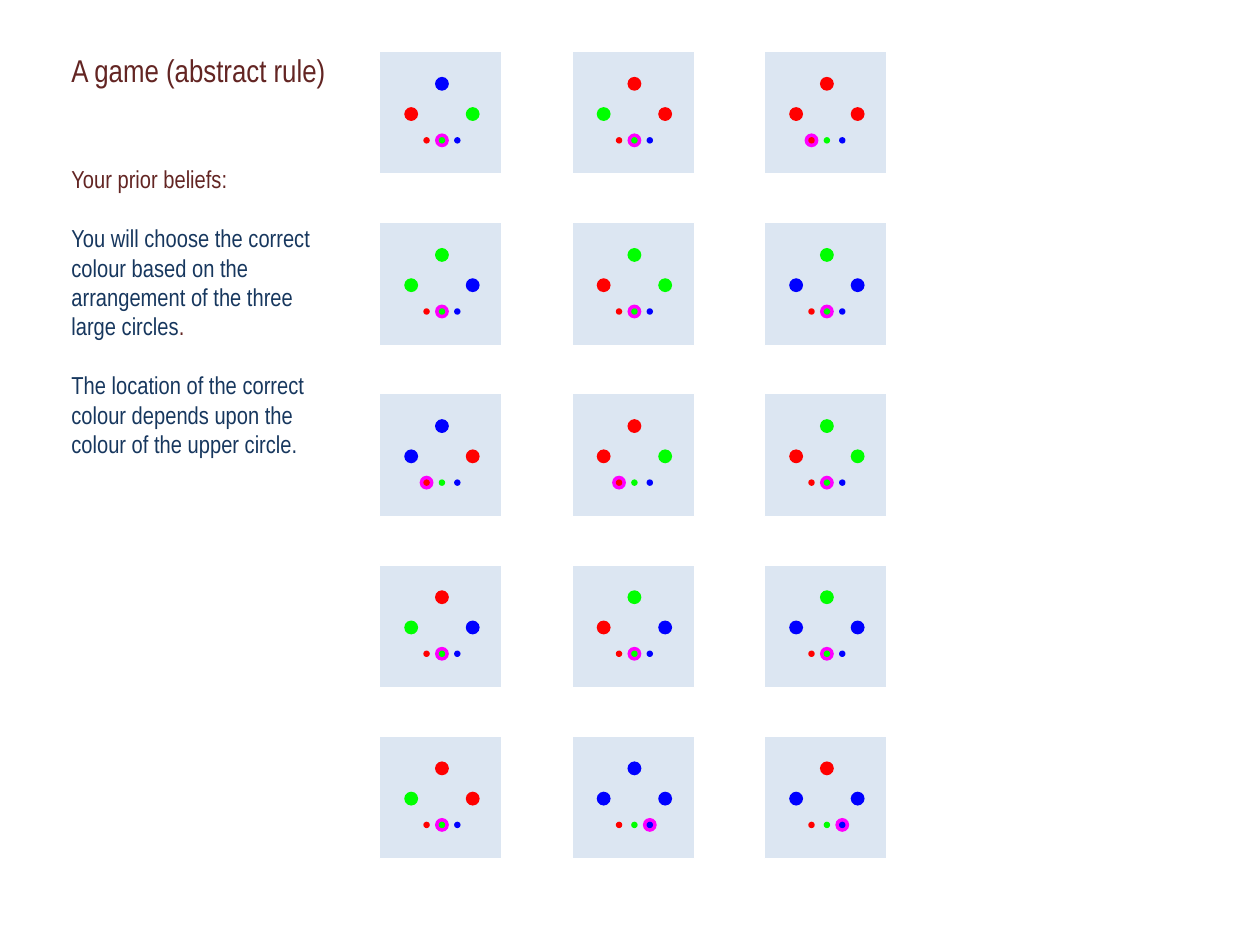
import dataclasses

import pptx
import pptx.dml.color
import pptx.enum.shapes
import pptx.util

Cm, Pt = pptx.util.Cm, pptx.util.Pt
SHAPE = pptx.enum.shapes.MSO_SHAPE

COLORS = {
    "R": "FF0000", "G": "00FF00", "B": "0000FF",
    "ring": "FF00FF", "card": "DCE6F2", "white": "FFFFFF",
    "maroon": "632523", "navy": "17375E",
}

# Card grid and dot positions, in centimetres
LEFT, TOP, COL_STEP, ROW_STEP, CARD = 7.65, 1.04, 3.88, 3.45, 2.47
LARGE, SMALL = 0.28, 0.13
CLUES = [(0.64, 1.26), (1.26, 0.65), (1.88, 1.26)]  # left, upper, right
CHOICES = [("R", 0.95), ("G", 1.26), ("B", 1.57)]
CHOICE_Y = 1.79


@dataclasses.dataclass
class Trial:
    clues: str  # colours of the left, upper and right circles
    answer: str


@dataclasses.dataclass
class Para:
    runs: list[tuple[str, str]]
    size: int
    before: float = 0


TRIALS = [
    [Trial("RBG", "G"), Trial("GRR", "G"), Trial("RRR", "R")],
    [Trial("GGB", "G"), Trial("RGG", "G"), Trial("BGB", "G")],
    [Trial("BBR", "R"), Trial("RRG", "R"), Trial("RGG", "G")],
    [Trial("GRB", "G"), Trial("RGB", "G"), Trial("BGB", "G")],
    [Trial("GRR", "G"), Trial("BBB", "B"), Trial("BRB", "B")],
]

PARAS = [
    Para([("A game (abstract rule)", "maroon")], 18),
    Para([("Your prior beliefs:", "maroon")], 14, 43),
    Para([("You will choose the correct colour based on the arrangement "
           "of the three large circles", "navy"), (".", "maroon")], 14, 16.8),
    Para([("The location of the correct colour depends upon the colour "
           "of the upper circle.", "navy")], 14, 16.8),
]


def rgb(name: str) -> pptx.dml.color.RGBColor:
    return pptx.dml.color.RGBColor.from_string(COLORS[name])


def add_square(s, x: float, y: float, fill: str = "", line: str = "") -> None:
    sp = s.shapes.add_shape(SHAPE.RECTANGLE, Cm(x), Cm(y), Cm(CARD), Cm(CARD))
    sp.shadow.inherit = False
    if fill:
        sp.fill.solid()
        sp.fill.fore_color.rgb = rgb(fill)
    else:
        sp.fill.background()
    if line:
        sp.line.color.rgb = rgb(line)
        sp.line.width = Pt(0)
    else:
        sp.line.fill.background()


def add_dot(s, cx: float, cy: float, size: float, color: str) -> None:
    sp = s.shapes.add_shape(SHAPE.OVAL, Cm(cx - size / 2), Cm(cy - size / 2),
                            Cm(size), Cm(size))
    sp.shadow.inherit = False
    sp.fill.solid()
    sp.fill.fore_color.rgb = rgb(color)
    sp.line.fill.background()


def add_trial(s, trial: Trial, x: float, y: float) -> None:
    add_square(s, x, y, fill="card")
    add_square(s, x, y, line="white")
    for color, (dx, dy) in zip(trial.clues, CLUES):
        add_dot(s, x + dx, y + dy, LARGE, color)
    for color, dx in CHOICES:
        if color == trial.answer:
            add_dot(s, x + dx, y + CHOICE_Y, LARGE, "ring")
        add_dot(s, x + dx, y + CHOICE_Y, SMALL, color)


def add_text(s, paras: list[Para]) -> None:
    sp = s.shapes.add_textbox(Cm(1.19), Cm(0.91), Cm(5.94), Cm(10.08))
    tf = sp.text_frame
    tf.word_wrap = True
    for i, para in enumerate(paras):
        p = tf.add_paragraph() if i else tf.paragraphs[0]
        p.space_before = Pt(para.before)
        for text, color in para.runs:
            r = p.add_run()
            r.text = text
            r.font.name = "Arial Narrow"
            r.font.size = Pt(para.size)
            r.font.color.rgb = rgb(color)


prs = pptx.Presentation()
prs.slide_width, prs.slide_height = Cm(25.4), Cm(19.05)
s = prs.slides.add_slide(prs.slide_layouts[6])

# Explanation on the left
add_text(s, PARAS)

# Grid of trials
for row, trials in enumerate(TRIALS):
    for col, trial in enumerate(trials):
        add_trial(s, trial, LEFT + col * COL_STEP, TOP + row * ROW_STEP)

prs.save("out.pptx")
